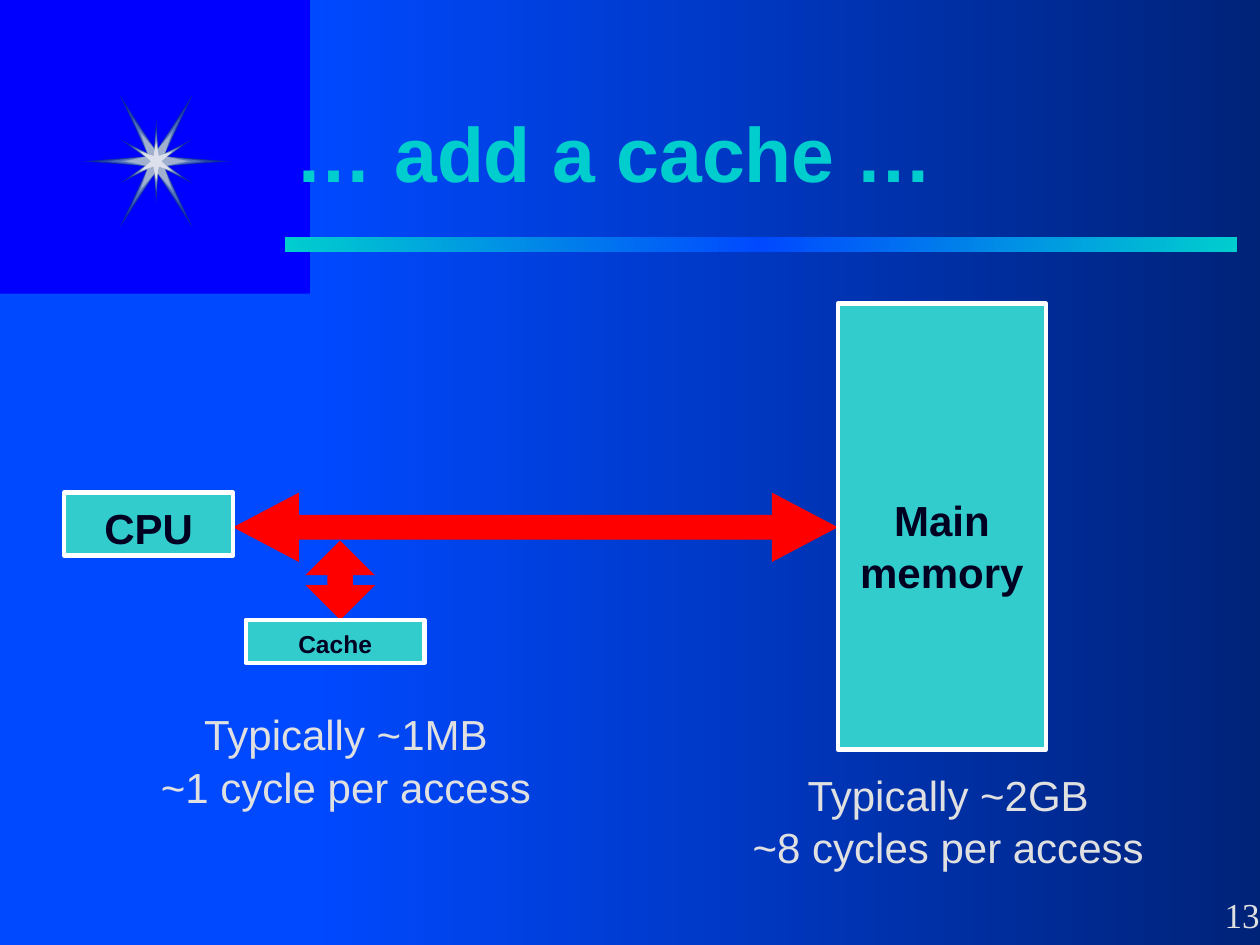
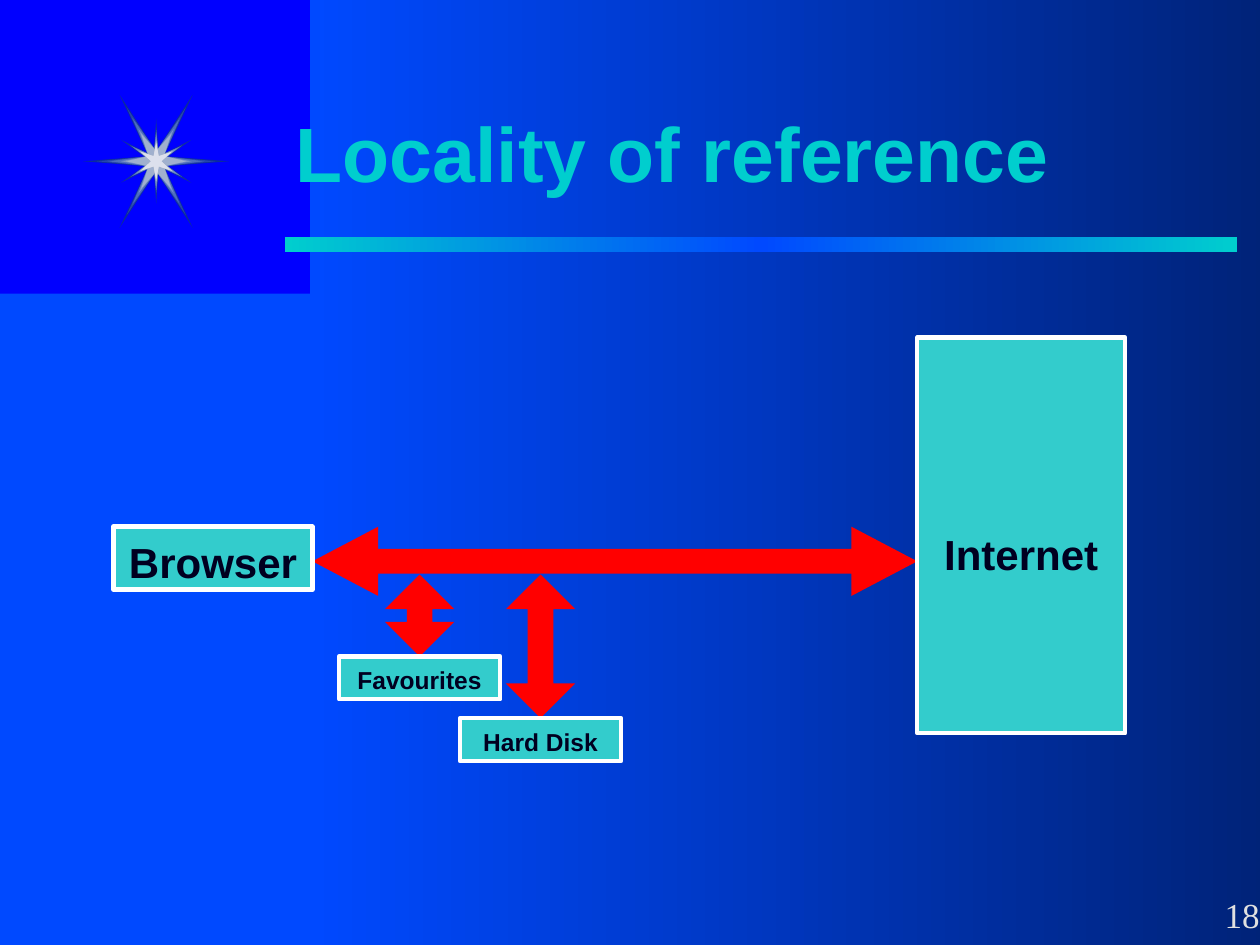
"""Build two slides on caching and locality of reference."""
from dataclasses import dataclass

from lxml import etree
from pptx import Presentation
from pptx import util as u
from pptx.dml.color import RGBColor
from pptx.enum import shapes, text
from pptx.oxml import ns

COLUMNS, ROWS = 100, 75
BUS_LENGTH, ARROW_WIDTH, SHAFT_BOTTOM = 48, 5.5, 3.8
STORE_WIDTH, STORE_INSET = 16.5, 15
STAR_CENTRE = (12.4, 12.8)


@dataclass(frozen=True)
class Theme:
    """Colours, fonts and type sizes of the deck."""

    backdrop: str = "0000FF"
    panel: str = "0049FF"
    night: str = "002276"
    accent: str = "00CECE"
    block: str = "33CCCC"
    outline: str = "FFFFFF"
    arrow: str = "FF0000"
    ink: str = "000020"
    pale: str = "E0E0E0"
    sans: str = "Arial"
    serif: str = "Times New Roman"
    title_size: int = 44
    body_size: int = 24
    number_size: int = 20
    small_size: int = 14
    outline_width: float = 2.5
    line_spacing: float = 1.04


STAR_LAYERS = (
    ("wide", 5.8, "0B2B9E"), ("tall", 3.4, "102FA1"),
    ("wide", 4.7, "2645AC"), ("tall", 2.5, "4464B9"),
    ("wide", 3.8, "4464B9"), ("tall", 2.3, "4E6EBC"),
    ("wide", 3.6, "4E6EBC"), ("tall", 2.2, "5A79C0"),
    ("tall", 2.0, "7992C6"), ("wide", 2.8, "7992C6"),
    ("wide", 2.4, "A0B0CE"), ("tall", 1.6, "D9D9D9"),
    ("tall", 1.4, "DCE0ED"),
)


def star_points(kind, reach):
    """Return the twelve corners of a six-pointed star around its centre."""
    if kind == "wide":
        quarter = [(reach, 0), (0.6, 0.4), (reach / 2, 0.91 * reach), (0, 0.8)]
    else:
        quarter = [(0.4, 0), (0.82 * reach, reach / 2), (0.2, 0.4), (0, reach)]
    half = quarter + [(-x, y) for x, y in quarter[2:0:-1]]
    return half + [(-x, -y) for x, y in half]


class Deck:
    """Hold the style and the current slide, and draw each kind of element."""

    def __init__(self, theme):
        """Open an empty presentation of 10 by 7.5 inches."""
        self.theme = theme
        self.file = Presentation()
        self.file.slide_width = u.Inches(10)
        self.file.slide_height = u.Inches(7.5)
        self.page = None

    def across(self, columns):
        """Turn grid columns into a length."""
        return u.Emu(round(self.file.slide_width * columns / COLUMNS))

    def down(self, rows):
        """Turn grid rows into a length."""
        return u.Emu(round(self.file.slide_height * rows / ROWS))

    def frame(self, left, top, width, height):
        """Turn grid places into left, top, width and height."""
        return (self.across(left), self.down(top),
                self.across(width), self.down(height))

    def paint(self, shape, colours, outline=None):
        """Fill a shape with one colour or an even gradient, without shadow."""
        shape.shadow.inherit = False
        if len(colours) == 1:
            shape.fill.solid()
            shape.fill.fore_color.rgb = RGBColor.from_string(colours[0])
        else:
            shape.fill.gradient()
            shape.fill.gradient_angle = 0
            stops = shape._element.spPr.find(".//" + ns.qn("a:gsLst"))
            for stop in list(stops):
                stops.remove(stop)
            for index, colour in enumerate(colours):
                place = round(100000 * index / (len(colours) - 1))
                stop = etree.SubElement(stops, ns.qn("a:gs"), pos=str(place))
                etree.SubElement(stop, ns.qn("a:srgbClr"), val=colour)
        if outline:
            shape.line.color.rgb = RGBColor.from_string(outline)
            shape.line.width = u.Pt(self.theme.outline_width)
        else:
            shape.line.fill.background()

    def shape(self, kind, place, *colours, outline=None, adjustments=()):
        """Add a preset shape on the grid."""
        shape = self.page.shapes.add_shape(kind, *self.frame(*place))
        for index, value in enumerate(adjustments):
            shape.adjustments[index] = value
        self.paint(shape, colours, outline)
        return shape

    def letter(self, box, lines, inset=0.6, middle=False, align="CENTER", **style):
        """Put lines into a box, one paragraph each."""
        anchor = text.MSO_ANCHOR.MIDDLE if middle else text.MSO_ANCHOR.TOP
        layout = {"word_wrap": True, "vertical_anchor": anchor,
                  "margin_left": self.across(1), "margin_right": self.across(1),
                  "margin_top": self.down(inset), "margin_bottom": self.down(0.5)}
        for name, value in layout.items():
            setattr(box.text_frame, name, value)
        font = {"name": self.theme.sans, "size": self.theme.body_size,
                "bold": False, **style}
        colour = RGBColor.from_string(font.pop("colour"))
        font["size"] = u.Pt(font["size"])
        for index, line in enumerate(lines):
            frame = box.text_frame
            para = frame.add_paragraph() if index else frame.paragraphs[0]
            para.alignment = getattr(text.PP_ALIGN, align)
            para.line_spacing = self.theme.line_spacing
            span = para.add_run()
            span.text = line
            for name, value in font.items():
                setattr(span.font, name, value)
            span.font.color.rgb = colour

    def label(self, place, *lines, **style):
        """Add a text box on the grid."""
        box = self.page.shapes.add_textbox(*self.frame(*place))
        self.letter(box, lines, **{"colour": self.theme.pale, **style})
        return box

    def star(self):
        """Draw the layered star in the corner."""
        for kind, reach, colour in STAR_LAYERS:
            corners = [(self.across(STAR_CENTRE[0] + x), self.down(STAR_CENTRE[1] + y))
                       for x, y in star_points(kind, reach)]
            outline = self.page.shapes.build_freeform(*corners[0])
            outline.add_line_segments(corners[1:], close=True)
            self.paint(outline.convert_to_shape(), [colour])

    def title(self, words):
        """Add the slide title with its text shadow."""
        box = self.label((22.5, 5.8, 75.8, 12.5), words, inset=0.5, middle=True,
                         align="LEFT", size=self.theme.title_size, bold=True,
                         colour=self.theme.accent)
        para = box.text_frame.paragraphs[0]
        para.line_spacing = 1.0
        effects = etree.Element(ns.qn("a:effectLst"))
        shadow = etree.SubElement(effects, ns.qn("a:outerShdw"),
                                  dist="25400", dir="2700000")
        etree.SubElement(shadow, ns.qn("a:srgbClr"), val="000000")
        fill = para.runs[0]._r.rPr.find(ns.qn("a:solidFill"))
        fill.addnext(effects)

    def start(self, words, number):
        """Begin a slide with the shared backdrop, title and number."""
        theme = self.theme
        rectangle = shapes.MSO_SHAPE.RECTANGLE
        self.page = self.file.slides.add_slide(self.file.slide_layouts[6])
        self.page.background.fill.solid()
        self.page.background.fill.fore_color.rgb = RGBColor.from_string(theme.backdrop)
        self.shape(rectangle, (0, 23.3, 24.6, 51.7), theme.panel)
        self.shape(rectangle, (24.6, 0, 77.3, 75), theme.panel, theme.night)
        self.shape(rectangle, (22.6, 18.8, 75.6, 1.2),
                   theme.accent, theme.panel, theme.accent)
        self.star()
        self.label((96.2, 70.2, 5.5, 4.4), number, align="LEFT",
                   name=theme.serif, size=theme.number_size)
        self.title(words)

    def block(self, place, words, **style):
        """Add an outlined block with a bold label."""
        box = self.shape(shapes.MSO_SHAPE.RECTANGLE, place, self.theme.block,
                         outline=self.theme.outline)
        self.letter(box, [words], bold=True, colour=self.theme.ink, **style)

    def bus(self, user, left, top, width, store, store_top, store_height):
        """Join a user block to a tall store block with a double arrow."""
        start = left + width
        self.shape(shapes.MSO_SHAPE.LEFT_RIGHT_ARROW,
                   (start, top, BUS_LENGTH, ARROW_WIDTH),
                   self.theme.arrow, adjustments=(0.36, 0.95))
        self.block((left, top, width, 5), user)
        self.block((start + BUS_LENGTH, store_top, STORE_WIDTH, store_height),
                   store, inset=STORE_INSET)

    def cache(self, words, left, top, width, bus_top, shift=0):
        """Hang a small cache block below the bus."""
        start = bus_top + SHAFT_BOTTOM
        centre = left + width / 2 + shift
        self.shape(shapes.MSO_SHAPE.UP_DOWN_ARROW,
                   (centre - ARROW_WIDTH / 2, start, ARROW_WIDTH, top - start),
                   self.theme.arrow, adjustments=(0.31, 0.37))
        self.block((left, top, width, 3.4), words, size=self.theme.small_size)


def main():
    """Build both slides and save them."""
    deck = Deck(Theme())

    deck.start("… add a cache …", "13")
    bus_top = 39.1
    deck.bus("CPU", 5.1, bus_top, 13.4, "Main memory", 24.1, 35.4)
    deck.cache("Cache", 19.5, 49.2, 14.2, bus_top, shift=0.4)
    deck.label((58.7, 60.3, 33.1, 9), "Typically ~2GB", "~8 cycles per access")
    deck.label((10.9, 55.5, 33.1, 9), "Typically ~1MB", "~1 cycle per access")

    deck.start("Locality of reference", "18")
    bus_top = 41.8
    deck.bus("Browser", 9, bus_top, 15.8, "Internet", 26.8, 31.4)
    deck.cache("Favourites", 26.9, 52.1, 12.8, bus_top)
    deck.cache("Hard Disk", 36.5, 57, 12.8, bus_top)

    deck.file.save("out.pptx")


if __name__ == "__main__":
    main()
